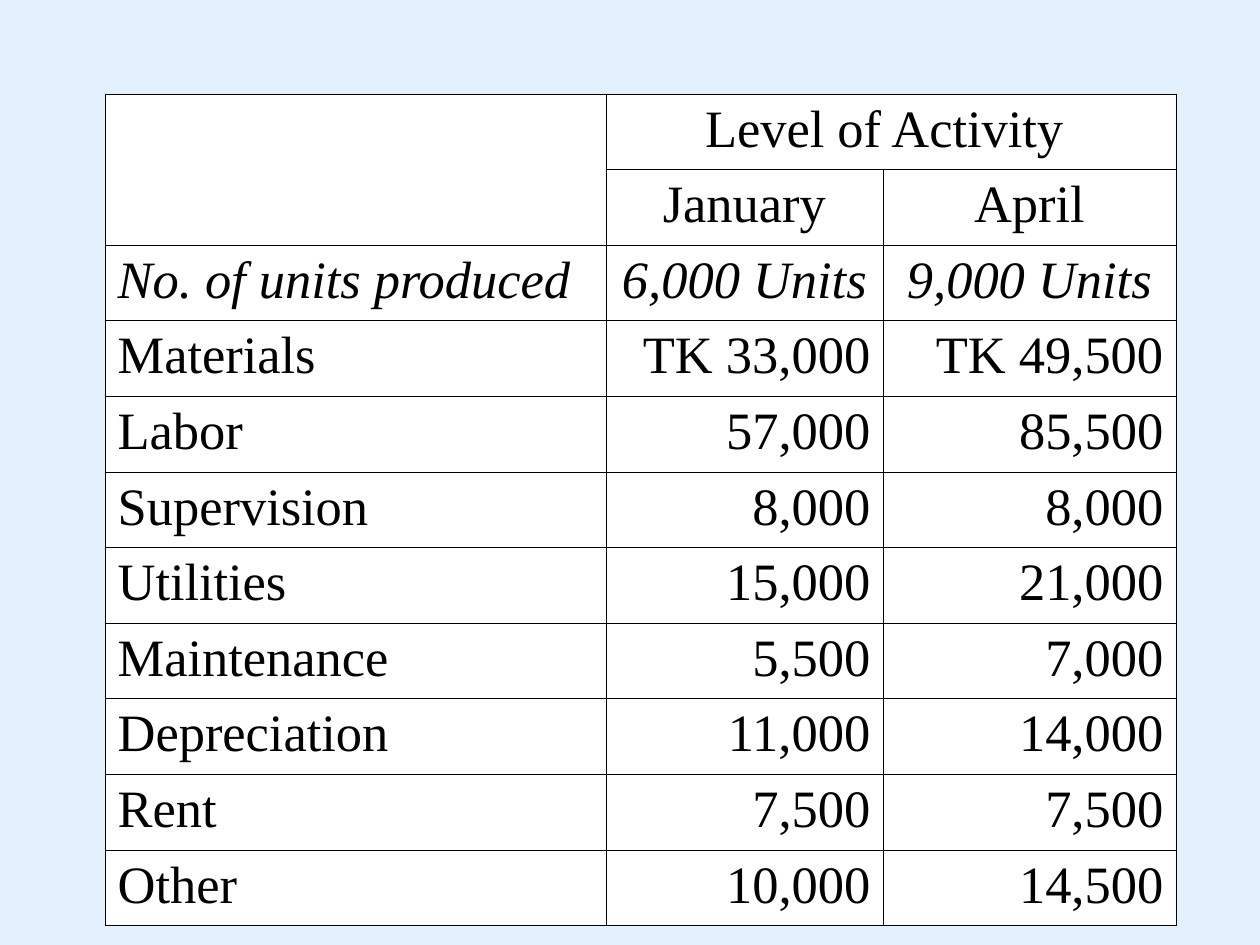
from dataclasses import dataclass

from lxml import etree
from pptx import Presentation
from pptx.dml.color import RGBColor
from pptx.enum.text import PP_ALIGN
from pptx.oxml.ns import qn
from pptx.util import Pt

LEFT, CENTER, RIGHT = PP_ALIGN.LEFT, PP_ALIGN.CENTER, PP_ALIGN.RIGHT

# Content
HEADER = [
    ("", "Level of Activity ", ""),
    ("", "January", "April"),
]
UNITS = ("No. of units produced", "6,000 Units", "9,000 Units")
COSTS = [
    ("Materials", "TK 33,000", "TK 49,500"),
    ("Labor", "57,000", "85,500"),
    ("Supervision", "8,000", "8,000"),
    ("Utilities", "15,000", "21,000"),
    ("Maintenance", "5,500", "7,000"),
    ("Depreciation", "11,000", "14,000"),
    ("Rent", "7,500", "7,500"),
    ("Other", "10,000", "14,500"),
]
ROWS = HEADER + [UNITS] + COSTS


@dataclass(frozen=True)
class Theme:
    background: str = "E3F1FF"
    cell: str = "FFFFFF"
    ink: str = "000000"
    font: str = "Times New Roman"
    size: int = 30
    border: float = 0.45


THEME = Theme()

# Layout in px, 126 to the inch
PX = 914400 // 126
SLIDE_W, SLIDE_H = 1260, 945
TABLE_X, TABLE_Y, TABLE_H = 105, 94, 832
COLUMN_WIDTHS = [501, 277, 293]


def px(n):
    return n * PX


def write(cell, text, align=LEFT, italic=False):
    p = cell.text_frame.paragraphs[0]
    p.alignment = align
    r = p.add_run()
    r.text = text
    r.font.name = THEME.font
    r.font.size = Pt(THEME.size)
    r.font.italic = italic
    r.font.color.rgb = RGBColor.from_string(THEME.ink)


def style_cell(cell):
    cell.fill.solid()
    cell.fill.fore_color.rgb = RGBColor.from_string(THEME.cell)
    # Border lines come before the fill in the cell properties
    tc_pr = cell._tc.get_or_add_tcPr()
    for i, side in enumerate(("lnL", "lnR", "lnT", "lnB")):
        ln = etree.Element(qn(f"a:{side}"), w=str(Pt(THEME.border)))
        fill = etree.SubElement(ln, qn("a:solidFill"))
        etree.SubElement(fill, qn("a:srgbClr"), val=THEME.ink)
        tc_pr.insert(i, ln)


def add_cost_table(slide):
    frame = slide.shapes.add_table(
        len(ROWS), len(COLUMN_WIDTHS),
        px(TABLE_X), px(TABLE_Y), px(sum(COLUMN_WIDTHS)), px(TABLE_H))
    table = frame.table
    for column, width in zip(table.columns, COLUMN_WIDTHS):
        column.width = px(width)
    for row in table.rows:
        row.height = px(TABLE_H) // len(ROWS)

    for i, texts in enumerate(ROWS):
        value_align = CENTER if i <= len(HEADER) else RIGHT
        for j, text in enumerate(texts):
            cell = table.cell(i, j)
            style_cell(cell)
            if text:
                write(cell, text, align=value_align if j else LEFT,
                      italic=texts is UNITS)

    # Heading spans: blank corner and activity title
    table.cell(0, 0).merge(table.cell(1, 0))
    table.cell(0, 1).merge(table.cell(0, 2))


def main():
    prs = Presentation()
    prs.slide_width, prs.slide_height = px(SLIDE_W), px(SLIDE_H)
    slide = prs.slides.add_slide(prs.slide_layouts[6])
    background = slide.background.fill
    background.solid()
    background.fore_color.rgb = RGBColor.from_string(THEME.background)
    add_cost_table(slide)
    prs.save("out.pptx")


if __name__ == "__main__":
    main()
